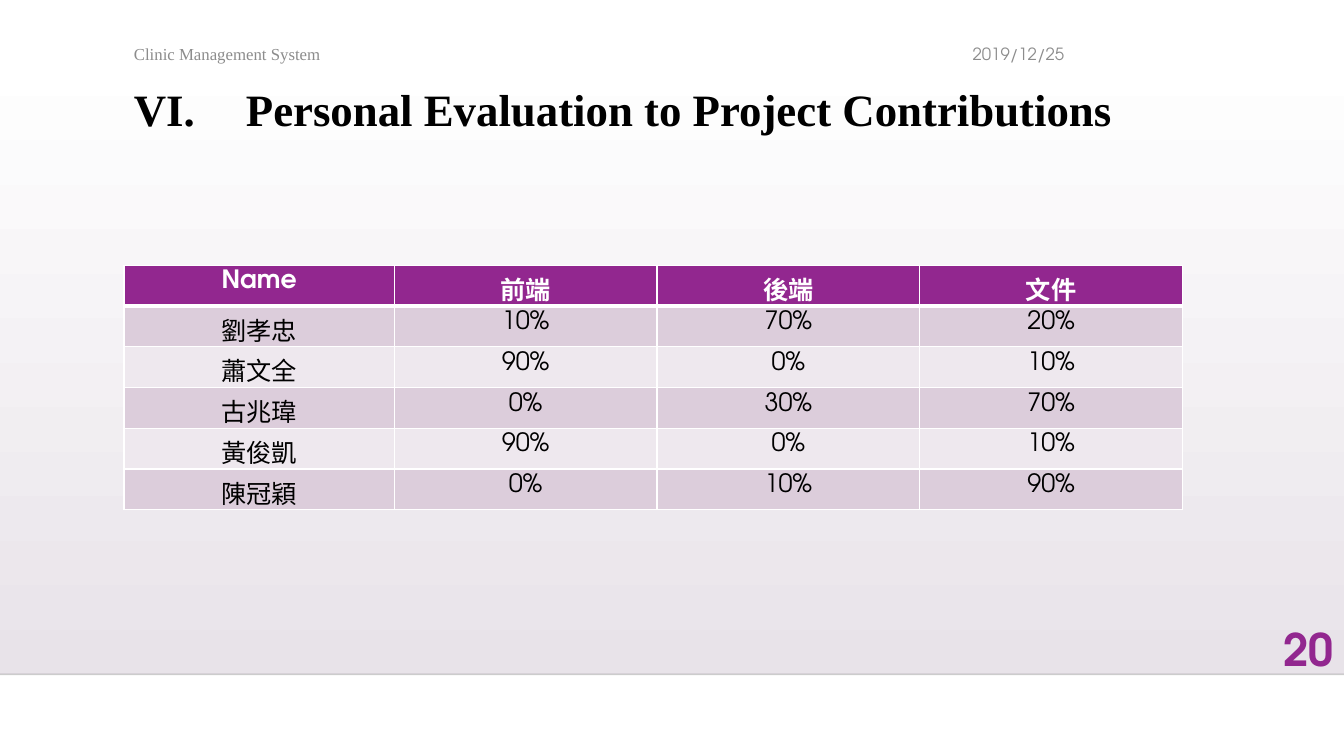
from lxml import etree
from pptx import Presentation
from pptx import util as u
from pptx.dml.color import RGBColor
from pptx.enum import shapes, text
from pptx.oxml import ns

WIDTH, HEIGHT = 13.33, 7.5
SANS, SERIF = "TeX Gyre Adventor", "Times New Roman"
PURPLE, GREY, BLACK, WHITE = "92278F", "8C8C8C", "000000", "FFFFFF"
BANDS = ["DCCDDB", "EEE8EE"]
CONTRIBUTIONS = [
    ["Name", "前端", "後端", "文件"],
    ["劉孝忠", "10%", "70%", "20%"],
    ["蕭文全", "90%", "0%", "10%"],
    ["古兆瑋", "0%", "30%", "70%"],
    ["黃俊凱", "90%", "0%", "10%"],
    ["陳冠穎", "0%", "10%", "90%"],
]


def colour(value):
    return RGBColor.from_string(value)


def inches(box):
    return [u.Inches(length) for length in box]


def add_child(parent, tag, **attributes):
    return etree.SubElement(parent, ns.qn(tag), attributes)


def style(para, size, font, shade, bold=False, align=text.PP_ALIGN.LEFT):
    para.alignment = align
    para.font.size = u.Pt(size)
    para.font.name = font
    para.font.bold = bold
    para.font.color.rgb = colour(shade)


def add_label(slide, box, words, *look, anchor=text.MSO_ANCHOR.TOP, spacing=1.0, **options):
    frame = slide.shapes.add_textbox(*inches(box)).text_frame
    frame.word_wrap = True
    frame.vertical_anchor = anchor
    para = frame.paragraphs[0]
    para.text = words
    para.line_spacing = spacing
    style(para, *look, **options)


def add_backdrop(slide, box):
    left, top, width, height = box
    panel = slide.shapes.add_shape(shapes.MSO_SHAPE.RECTANGLE, *inches(box))
    panel.shadow.inherit = False
    panel.line.fill.background()
    panel.fill.gradient()
    panel.fill.gradient_angle = 270
    for stop, shade, position in zip(panel.fill.gradient_stops, [WHITE, "E8E3E9"], [0, 1]):
        stop.color.rgb = colour(shade)
        stop.position = position

    floor = top + height
    edge = slide.shapes.add_connector(
        shapes.MSO_CONNECTOR.STRAIGHT, *inches([left, floor, left + width, floor]))
    edge.line.width = u.Pt(1)
    edge.line.color.rgb = colour(BLACK)
    properties = edge.element.spPr
    add_child(properties, "a:effectLst")
    shade = properties.find(".//" + ns.qn("a:srgbClr"))
    add_child(shade, "a:alpha", val="20000")


def add_heading(slide, box):
    left, top, width, height = box
    strip, date_width = 0.34, 1.34
    date_left = left + 0.77 * width
    middle = text.MSO_ANCHOR.MIDDLE
    add_label(slide, [left, top, date_left - left, strip], "Clinic Management System",
              12, SERIF, GREY, anchor=middle)
    add_label(slide, [date_left, top, date_width, strip], "2019/12/25",
              12, SANS, GREY, anchor=middle, align=text.PP_ALIGN.RIGHT)
    add_label(slide, [left, top + 0.46, width, height - 0.46],
              "VI.\t Personal Evaluation to Project Contributions",
              32, SERIF, BLACK, bold=True, spacing=0.9)


def set_borders(cell, widths):
    properties = cell._tc.get_or_add_tcPr()
    for index, (side, width) in enumerate(zip("LRTB", widths)):
        line = etree.Element(ns.qn("a:ln" + side), w=str(u.Pt(width)))
        add_child(add_child(line, "a:solidFill"), "a:srgbClr", val=WHITE)
        properties.insert(index, line)


def add_contributions(slide, box):
    rows, columns = len(CONTRIBUTIONS), len(CONTRIBUTIONS[0])
    table = slide.shapes.add_table(rows, columns, *inches(box)).table
    first = 2.68
    for index, column in enumerate(table.columns):
        column.width = u.Inches(first if index == 0 else (box[2] - first) / (columns - 1))
    for index, values in enumerate(CONTRIBUTIONS):
        header = index == 0
        for cell, value in zip(table.rows[index].cells, values):
            cell.fill.solid()
            cell.fill.fore_color.rgb = colour(PURPLE if header else BANDS[(index - 1) % 2])
            para = cell.text_frame.paragraphs[0]
            para.text = value
            style(para, 18, SANS, WHITE if header else BLACK, header, text.PP_ALIGN.CENTER)
            set_borders(cell, [1, 1, 3 if index == 1 else 1, 3 if header else 1])


def add_page_number(slide, box):
    add_label(slide, box, "20", 32, SANS, PURPLE, bold=True, align=text.PP_ALIGN.RIGHT)


def main():
    deck = Presentation()
    deck.slide_width, deck.slide_height = inches([WIDTH, HEIGHT])
    slide = deck.slides.add_slide(deck.slide_layouts[6])
    margin, content = 1.23, 10.5
    add_backdrop(slide, [0, 0.51, WIDTH, 6.18])
    add_heading(slide, [margin, 0.36, content, 1.09])
    add_contributions(slide, [margin, 2.63, content, 2.43])
    add_page_number(slide, [WIDTH - 0.89, 6.12, 0.89, 0.55])
    deck.save("out.pptx")


if __name__ == "__main__":
    main()
